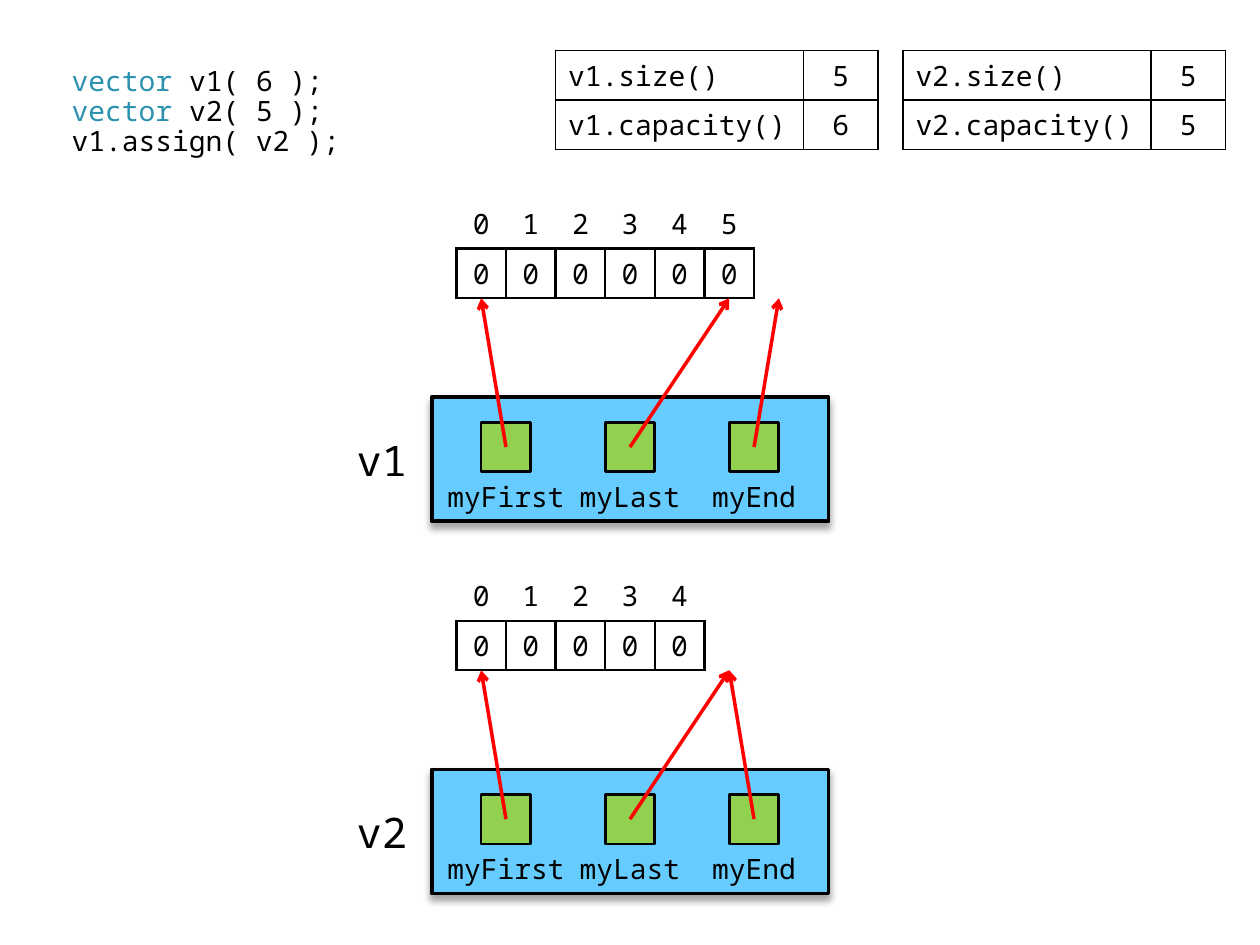
"""Builds a slide showing two vectors, their storage and their member pointers."""
from lxml.etree import SubElement
from pptx import Presentation
from pptx.dml.color import RGBColor
from pptx.enum.shapes import MSO_CONNECTOR, MSO_SHAPE as SHAPE
from pptx.enum.text import MSO_ANCHOR as ANCHOR, PP_ALIGN as ALIGN
from pptx.oxml.ns import qn
from pptx.util import Pt

BLACK = RGBColor(0, 0, 0)
TEAL = RGBColor(0x2B, 0x91, 0xAF)
SKY = RGBColor(0x66, 0xCC, 0xFF)
GREEN = RGBColor(0x92, 0xD0, 0x50)
RED = RGBColor(0xFF, 0, 0)
FONT = "Noto Sans Mono"

CODE = [
    [("vector ", TEAL), ("v1( 6 );", BLACK)],
    [("vector ", TEAL), ("v2( 5 );", BLACK)],
    [("v1.assign( v2 );", BLACK)],
]
MEMBERS = ["myFirst", "myLast", "myEnd"]
VECTORS = [
    {"name": "v1", "size": 5, "values": [0] * 6, "targets": [0, 5, 6]},
    {"name": "v2", "size": 5, "values": [0] * 5, "targets": [0, 5, 5]},
]

UNIT = 28.35
STORAGE_LEFT, STORAGE_TOP = 260.8, 113.7
VECTOR_PITCH = 7.5 * UNIT
FACTS_LEFT, FACTS_TOP, FACTS_PITCH = 317.5, 28.8, 7 * UNIT


def write(frame, lines, size=16, align=ALIGN.CENTER, spacing=1.0):
    """Fill a text frame with lines, each a string or a list of (text, colour)."""
    frame.word_wrap = True
    frame.vertical_anchor = ANCHOR.MIDDLE
    for number, line in enumerate(lines):
        paragraph = frame.add_paragraph() if number else frame.paragraphs[0]
        paragraph.alignment = align
        paragraph.line_spacing = spacing
        paragraph.space_before = Pt(0)
        for text, colour in [(line, BLACK)] if isinstance(line, str) else line:
            run = paragraph.add_run()
            run.text = text
            run.font.name, run.font.size = FONT, Pt(size)
            run.font.color.rgb = colour


def place(left, top, width, height):
    return Pt(left), Pt(top), Pt(width), Pt(height)


def add_block(bounds, kind, fill=None, line_width=0):
    block = slide.shapes.add_shape(kind, *place(*bounds))
    block.shadow.inherit = False
    if fill is None:
        block.fill.background()
        block.line.fill.background()
    else:
        block.fill.solid()
        block.fill.fore_color.rgb = fill
        block.line.color.rgb = BLACK
        block.line.width = Pt(line_width)
    return block


def drop_shadow(block):
    effects = block._element.spPr.find(qn("a:effectLst"))
    shadow = SubElement(effects, qn("a:outerShdw"), blurRad=str(Pt(4)), dist=str(Pt(3)),
                        dir="5400000", rotWithShape="0")
    colour = SubElement(shadow, qn("a:srgbClr"), val=str(BLACK))
    SubElement(colour, qn("a:alpha"), val="35000")


def add_pointer(start, end):
    pointer = slide.shapes.add_connector(
        MSO_CONNECTOR.STRAIGHT, *[Pt(value) for value in (*start, *end)])
    pointer.line.color.rgb = RED
    pointer.line.width = Pt(2)
    SubElement(pointer.line._get_or_add_ln(), qn("a:tailEnd"), type="arrow")
    SubElement(pointer._element.spPr, qn("a:effectLst"))


def set_borders(cell, sides, width):
    properties = cell._tc.get_or_add_tcPr()
    for side in "LRTB":
        border = SubElement(properties, qn(f"a:ln{side}"), w=str(Pt(width)))
        if side in sides:
            fill = SubElement(border, qn("a:solidFill"))
            SubElement(fill, qn("a:srgbClr"), val=str(BLACK))
        else:
            SubElement(border, qn("a:noFill"))


def add_grid(left, top, rows, widths, margin, line_width, first_sides="LRTB",
             first_align=ALIGN.CENTER):
    bounds = place(left, top, sum(widths), UNIT * len(rows))
    grid = slide.shapes.add_table(len(rows), len(widths), *bounds).table
    grid.first_row = grid.horz_banding = False
    for column, width in zip(grid.columns, widths):
        column.width = Pt(width)
    for r, row in enumerate(rows):
        grid.rows[r].height = Pt(UNIT)
        for c, value in enumerate(row):
            cell = grid.cell(r, c)
            cell.margin_left = cell.margin_right = Pt(margin)
            cell.margin_top = cell.margin_bottom = Pt(2.8)
            set_borders(cell, "LRTB" if r else first_sides, line_width)
            cell.fill.background()
            write(cell.text_frame, [str(value)], align=ALIGN.CENTER if c else first_align)
            cell.vertical_anchor = ANCHOR.MIDDLE


def add_facts(left, vector):
    name = vector["name"]
    rows = [(f"{name}.size()", vector["size"]),
            (f"{name}.capacity()", len(vector["values"]))]
    add_grid(left, FACTS_TOP, rows, [5 * UNIT, 1.5 * UNIT], 7.2, 1,
             first_align=ALIGN.LEFT)


def add_vector(top, vector):
    values = vector["values"]
    add_grid(STORAGE_LEFT, top, [range(len(values)), values], [UNIT] * len(values),
             4.3, 1.5, first_sides="B")

    panel_left, panel_top = STORAGE_LEFT - UNIT / 2, top + 4 * UNIT
    drop_shadow(add_block((panel_left, panel_top, 8 * UNIT, 2.5 * UNIT),
                          SHAPE.FLOWCHART_PROCESS, SKY, 2.25))
    label = slide.shapes.add_textbox(
        *place(panel_left - 2 * UNIT, panel_top + UNIT / 2, 2 * UNIT, 1.5 * UNIT))
    write(label.text_frame, [vector["name"]], size=24)

    for number, (member, target) in enumerate(zip(MEMBERS, vector["targets"])):
        left = panel_left + 2.5 * UNIT * number
        caption = add_block((left, panel_top + 1.5 * UNIT, 3 * UNIT, UNIT),
                            SHAPE.FLOWCHART_PROCESS)
        write(caption.text_frame, [member])
        add_block((left + UNIT, panel_top + UNIT / 2, UNIT, UNIT),
                  SHAPE.RECTANGLE, GREEN, 1.5)
        add_pointer((left + 1.5 * UNIT, panel_top + UNIT),
                    (STORAGE_LEFT + (target + 0.5) * UNIT, top + 2 * UNIT))


deck = Presentation()
deck.slide_width, deck.slide_height = Pt(720), Pt(540)
slide = deck.slides.add_slide(deck.slide_layouts[2])
title = slide.shapes.title._element
title.getparent().remove(title)

code = slide.placeholders[1]
code.left, code.top, code.width, code.height = place(33.8, 28.8, 170, 70.6)
write(code.text_frame, CODE, align=ALIGN.LEFT, spacing=0.89)

for index, vector in enumerate(VECTORS):
    add_facts(FACTS_LEFT + index * FACTS_PITCH, vector)
    add_vector(STORAGE_TOP + index * VECTOR_PITCH, vector)

deck.save("out.pptx")
